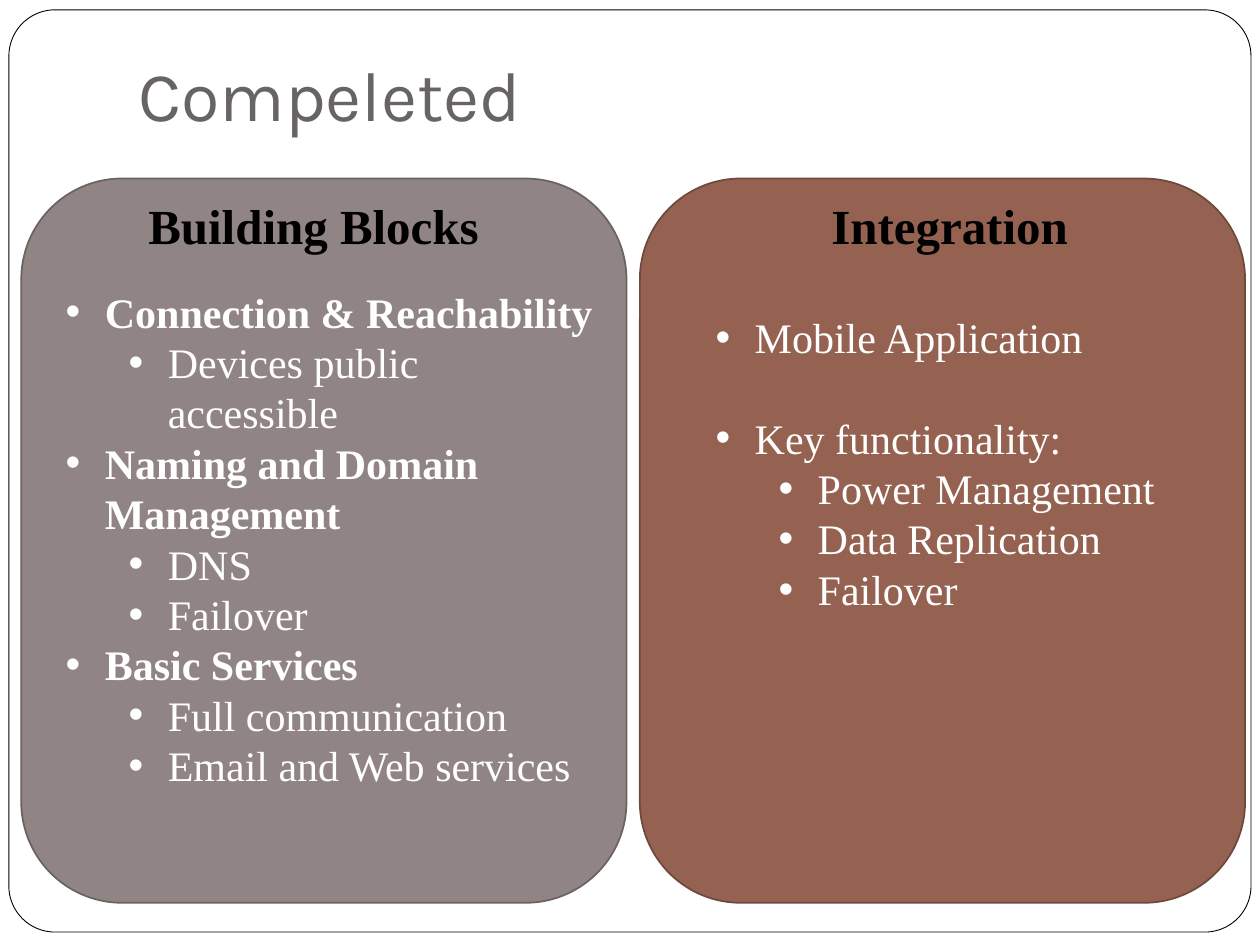
from lxml import etree
from pptx import Presentation
from pptx.dml.color import RGBColor
from pptx.enum.shapes import MSO_SHAPE
from pptx.enum.text import MSO_ANCHOR, MSO_AUTO_SIZE, PP_ALIGN
from pptx.oxml.ns import qn
from pptx.util import Cm, Pt

ROUNDED = MSO_SHAPE.ROUNDED_RECTANGLE
BOTTOM, TOP = MSO_ANCHOR.BOTTOM, MSO_ANCHOR.TOP
FIXED, GROW = MSO_AUTO_SIZE.NONE, MSO_AUTO_SIZE.SHAPE_TO_FIT_TEXT
LEFT = PP_ALIGN.LEFT
TWO_CONTENT = 3
COLORS = {
    "white": "FFFFFF", "black": "000000", "title": "696464",
    "gray": "918485", "gray_edge": "6B6262",
    "brown": "956251", "brown_edge": "6E493C",
}
BLOCKS = [
    (0, "Connection & Reachability"),
    (1, "Devices public accessible"),
    (0, "Naming and Domain Management"),
    (1, "DNS"),
    (1, "Failover"),
    (0, "Basic Services"),
    (1, "Full communication"),
    (1, "Email and Web services"),
]
INTEGRATION = [
    (0, "Mobile Application"),
    (0, "Key functionality:"),
    (1, "Power Management"),
    (1, "Data Replication"),
    (1, "Failover"),
]


class Deck:
    """Holds the style and the current slide, and adds elements to it."""

    title_font, text_font = "Karla", "Times New Roman"
    line = Pt(28.8)

    def __init__(self, prs):
        self.s = prs.slides.add_slide(prs.slide_layouts[TWO_CONTENT])
        self.panels = 0

    def color(self, name):
        return RGBColor.from_string(COLORS[name])

    def font(self, p, name, size, color, bold=False):
        p.font.name, p.font.size, p.font.bold = name, Pt(size), bold
        p.font.color.rgb = self.color(color)

    def place(self, sp, box):
        sp.left, sp.top, sp.width, sp.height = (Cm(v) for v in box)

    def panel(self, box, fill, edge, width, radius=0.1667):
        sp = self.s.shapes.add_shape(ROUNDED, *(Cm(v) for v in box))
        sp.adjustments[0] = radius
        sp.shadow.inherit = False
        sp.fill.solid()
        sp.fill.fore_color.rgb = self.color(fill)
        sp.line.color.rgb = self.color(edge)
        sp.line.width = Pt(width)
        self.s.shapes._spTree.insert(2 + self.panels, sp._element)
        self.panels += 1

    def title(self, box, text):
        sp = self.s.shapes.title
        self.place(sp, box)
        tf = sp.text_frame
        tf.text, tf.auto_size, tf.vertical_anchor = text, FIXED, BOTTOM
        tf.margin_bottom = Cm(0.25)
        p = tf.paragraphs[0]
        p.alignment = LEFT
        self.font(p, self.title_font, 40, "title")

    def heading(self, box, text):
        tf = self.s.shapes.add_textbox(*(Cm(v) for v in box)).text_frame
        tf.text, tf.word_wrap, tf.auto_size = text, False, GROW
        self.font(tf.paragraphs[0], self.text_font, 28, "black", True)

    def bullets(self, idx, box, items, bold_top=False, gap=0):
        sp = self.s.placeholders[idx]
        self.place(sp, box)
        tf = sp.text_frame
        tf.text = "\n".join(text for _, text in items)
        tf.auto_size, tf.vertical_anchor = FIXED, TOP
        for i, (p, (level, _)) in enumerate(zip(tf.paragraphs, items)):
            p.level = level
            p.line_spacing = self.line
            p.space_before = gap if i and level == 0 else Pt(0)
            self.font(p, self.text_font, 24, "white", bold_top and level == 0)
            pPr = p._p.get_or_add_pPr()
            pPr.set("marL", str(Cm(0.79 + 1.27 * level)))
            pPr.set("indent", str(Cm(-0.79)))
            bullet = etree.Element(qn("a:buChar"), char="•")
            pPr.find(qn("a:defRPr")).addprevious(bullet)
            bullet.addprevious(etree.Element(qn("a:buFont"), typeface="Arial"))


def main():
    prs = Presentation()
    prs.slide_width, prs.slide_height = Cm(25.4), Cm(19.05)
    deck = Deck(prs)
    deck.panel((0.18, 0.2, 25.04, 18.59), "white", "black", 0.5, 0.05)
    deck.panel((0.43, 3.6, 12.2, 14.6), "gray", "gray_edge", 1)
    deck.panel((12.9, 3.6, 12.2, 14.6), "brown", "brown_edge", 1)
    deck.title((2.54, -0.2, 21.59, 3.18), "Compeleted")
    deck.heading((2.74, 3.81, 8.05, 1.45), "Building Blocks")
    deck.heading((16.51, 3.81, 5.36, 1.45), "Integration")
    deck.bullets(1, (1.07, 5.64, 11.23, 9.5), BLOCKS, bold_top=True)
    deck.bullets(2, (14.17, 6.15, 9.53, 8.46), INTEGRATION, gap=deck.line)
    prs.save("out.pptx")


if __name__ == "__main__":
    main()
